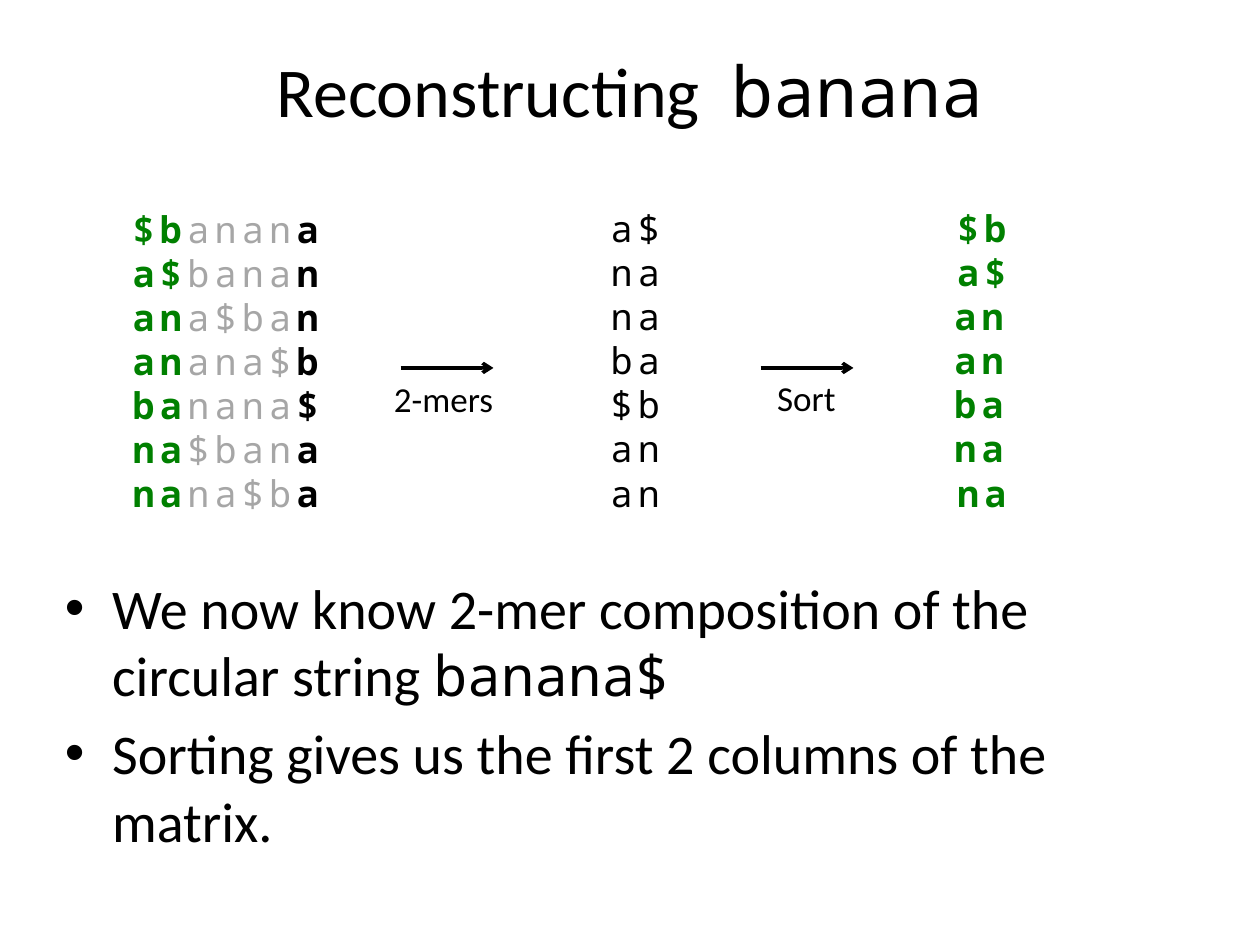
from lxml.etree import SubElement
from pptx import Presentation
from pptx.dml.color import RGBColor
from pptx.enum.shapes import MSO_CONNECTOR as CONNECTOR
from pptx.enum.text import MSO_ANCHOR as ANCHOR, MSO_AUTO_SIZE as AUTO_SIZE, PP_ALIGN as ALIGN
from pptx.oxml.ns import qn
from pptx.util import Pt

BLACK = RGBColor(0, 0, 0)
GREEN = RGBColor(0, 128, 0)
GREY = RGBColor(166, 166, 166)
SANS, MONO = "Calibri", "Noto Sans Mono"

# A paragraph is a list of runs: (text, format that differs from the box)
TITLE = [[("Reconstructing  ", {}), ("banana", {"font": MONO})]]
BULLETS = [
    [("We now know 2-mer composition of the circular string ", {}),
     ("banana$", {"font": MONO})],
    [("Sorting gives us the first 2 columns of the matrix.", {})],
]
ROTATIONS = ["$banana", "a$banan", "ana$ban", "anana$b", "banana$", "na$bana", "nana$ba"]
TWO_MERS = [row[-1] + row[0] for row in ROTATIONS]
SORTED_MERS = sorted(TWO_MERS)
# The last five rows share one paragraph, parted by line breaks
SORTED_LINES = SORTED_MERS[:2] + ["\v".join(SORTED_MERS[2:])]

FIRST, MIDDLE, LAST = {"color": GREEN, "bold": True}, {"color": GREY}, {"bold": True}
MATRIX = [[(row[:2], FIRST), (row[2:-1], MIDDLE), (row[-1], LAST)] for row in ROTATIONS]

COLUMN_WIDTH, COLUMN_HEIGHT = 138, 185
COLUMNS = [  # left, top, paragraphs
    (60, 114.5, MATRIX),
    (294, 114, [[(mer, {})] for mer in TWO_MERS]),
    (492, 114, [[(line, FIRST)] for line in SORTED_LINES]),
]
ARROW_Y, ARROW_LENGTH = 210.25, 53
STEPS = [  # arrow start, label, label left, top, width
    (229, "2-mers", 218, 212.4, 72),
    (434.7, "Sort", 437, 211.7, 48),
]


def add_text(slide, paragraphs, left, top, width, height, *, size, font=SANS, color=BLACK,
             bold=False, align=ALIGN.LEFT, anchor=ANCHOR.TOP, wrap=True, grow=False,
             tracking=0, bullet=None, indent=0, gap=0):
    frame = slide.shapes.add_textbox(Pt(left), Pt(top), Pt(width), Pt(height)).text_frame
    frame.word_wrap = wrap
    frame.vertical_anchor = anchor
    frame.auto_size = AUTO_SIZE.SHAPE_TO_FIT_TEXT if grow else AUTO_SIZE.NONE
    for index, runs in enumerate(paragraphs):
        paragraph = frame.add_paragraph() if index else frame.paragraphs[0]
        paragraph.alignment = align
        if index and gap:
            paragraph.space_before = Pt(gap)
        if bullet:
            properties = paragraph._p.get_or_add_pPr()
            properties.set("marL", str(Pt(indent)))
            properties.set("indent", str(-Pt(indent)))
            SubElement(properties, qn("a:buFont"), typeface="Arial")
            SubElement(properties, qn("a:buChar"), char=bullet)
        for text, changes in runs:
            look = {"font": font, "color": color, "bold": bold, **changes}
            for number, part in enumerate(text.split("\v")):
                if number:
                    paragraph.add_line_break()
                run = paragraph.add_run()
                run.text = part
                run.font.name = look["font"]
                run.font.size = Pt(size)
                run.font.bold = look["bold"]
                run.font.color.rgb = look["color"]
                if tracking:
                    run._r.get_or_add_rPr().set("spc", str(tracking * 100))


def add_arrow(slide, left, y, length):
    arrow = slide.shapes.add_connector(CONNECTOR.STRAIGHT, Pt(left), Pt(y), Pt(left + length), Pt(y))
    arrow.line.color.rgb = BLACK
    arrow.line.width = Pt(2)
    SubElement(arrow.line._get_or_add_ln(), qn("a:tailEnd"), type="arrow")
    SubElement(arrow._element.spPr, qn("a:effectLst"))


def main():
    deck = Presentation()
    deck.slide_width, deck.slide_height = Pt(720), Pt(540)
    slide = deck.slides.add_slide(deck.slide_layouts[6])

    add_text(slide, TITLE, 36, 6, 648, 90, size=40, align=ALIGN.CENTER, anchor=ANCHOR.MIDDLE)
    add_text(slide, BULLETS, 30, 324, 648, 192, size=32, bullet="•", indent=27, gap=6.4)
    for left, top, rows in COLUMNS:
        add_text(slide, rows, left, top, COLUMN_WIDTH, COLUMN_HEIGHT, size=21, font=MONO,
                 align=ALIGN.CENTER, grow=True, tracking=3)
    for start, label, left, top, width in STEPS:
        add_arrow(slide, start, ARROW_Y, ARROW_LENGTH)
        add_text(slide, [[(label, {})]], left, top, width, 31.5, size=20, wrap=False, grow=True)

    deck.save("out.pptx")


if __name__ == "__main__":
    main()
